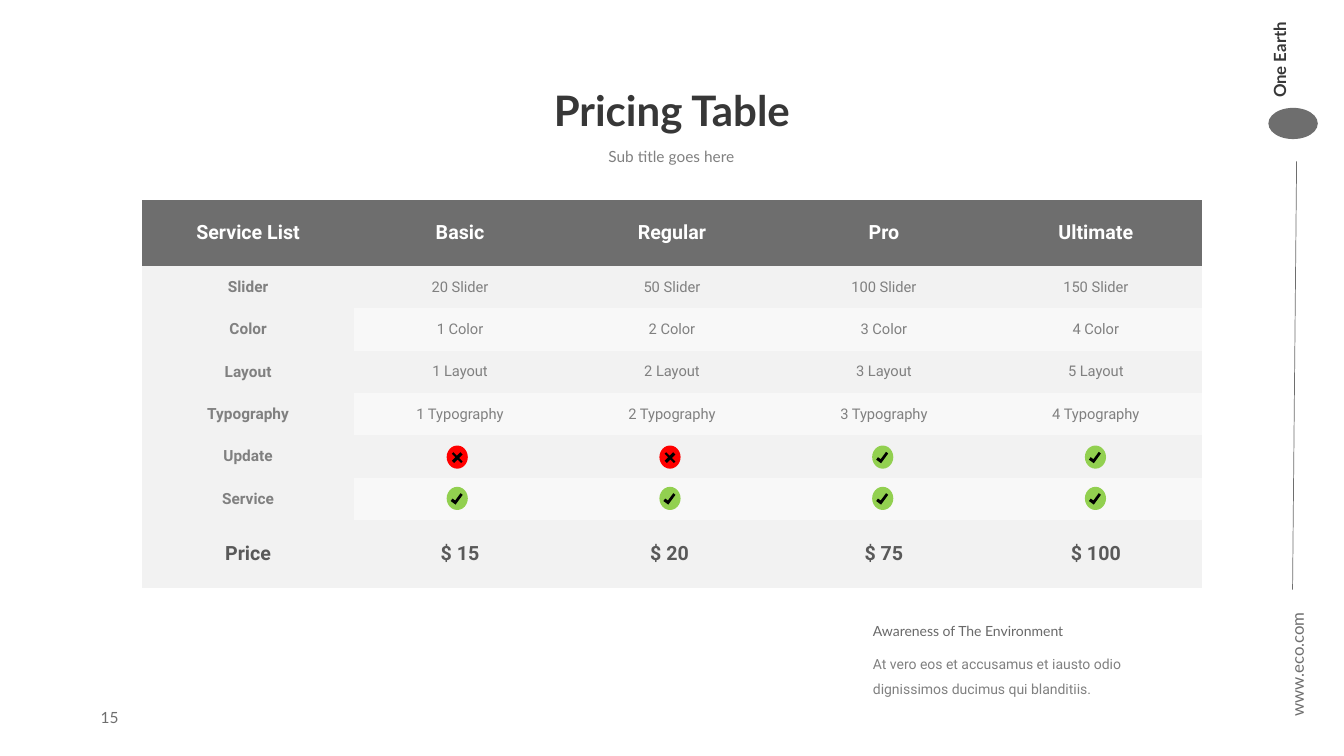
from lxml import etree
from pptx import Presentation
from pptx import util as u
from pptx.dml.color import RGBColor
from pptx.enum import shapes, text
from pptx.oxml.ns import qn

# Content
HEAD = ["Service List", "Basic", "Regular", "Pro", "Ultimate"]
ROWS = [
    ["Slider", "20 Slider", "50 Slider", "100 Slider", "150 Slider"],
    ["Color", "1 Color", "2 Color", "3 Color", "4 Color"],
    ["Layout", "1 Layout", "2 Layout", "3 Layout", "5 Layout"],
    ["Typography", "1 Typography", "2 Typography", "3 Typography", "4 Typography"],
    ["Update", "", "", "", ""],
    ["Service", "", "", "", ""],
]
PRICE = ["Price", "$ 15", "$ 20 ", "$ 75", "$ 100"]
MARKS = ["xxvv", "vvvv"]  # update and service: x is no, v is yes

MID, TOP = text.MSO_ANCHOR.MIDDLE, text.MSO_ANCHOR.TOP
LEFT, CENTER = text.PP_ALIGN.LEFT, text.PP_ALIGN.CENTER
GRAY, DARK, SOFT = "6E6E6E", "373737", "808080"

# words, box, turn, anchor, align, line spacing, font
NOTES = [
    ("www.eco.com", (11.93, 6.17, 1.77, 0.31), 270, MID, LEFT, 1.5,
     dict(name="Lato", size=12, color=GRAY)),
    ("One Earth", (12.29, 0.32, 1, 0.5), 270, TOP, LEFT, 1,
     dict(name="Lato", size=12, color=DARK, bold=True)),
    ("Sub title goes here", (5.19, 1.32, 2.94, 0.35), 0, TOP, CENTER, 1.5,
     dict(name="Lato", size=11, color=SOFT)),
    ("At vero eos et accusamus et iausto odio dignissimos ducimus qui blanditiis.",
     (8.56, 6.37, 3.36, 0.57), 0, TOP, LEFT, 1.5,
     dict(name="Roboto", size=10, color=SOFT)),
    ("Awareness of The Environment", (8.56, 6.13, 3.36, 0.27), 0, TOP, LEFT, 1,
     dict(name="Lato", size=10, color="696969")),
    ("15", (0.9, 6.92, 2.14, 0.4), 0, MID, LEFT, 1,
     dict(name="Lato", size=11, color=GRAY)),
]

deck = Presentation()
deck.slide_width, deck.slide_height = u.Inches(13.33), u.Inches(7.5)
slide = deck.slides.add_slide(deck.slide_layouts[5])


def paint(color, code):
    color.rgb = RGBColor.from_string(code)


def style(font, form):
    for key, val in form.items():
        if key == "color":
            paint(font.color, val)
        else:
            setattr(font, key, u.Pt(val) if key == "size" else val)


def write(frame, words, align, form, gap=1):
    para = frame.paragraphs[0]
    para.alignment, para.line_spacing = align, gap
    if words:
        run = para.add_run()
        run.text = words
        style(run.font, form)
    else:
        style(para.font, form)


def inches(box):
    return [u.Inches(v) for v in box]


def draw(kind, box, code, turn=0):
    shape = slide.shapes.add_shape(kind, *inches(box))
    shape.shadow.inherit = False
    shape.fill.solid()
    paint(shape.fill.fore_color, code)
    shape.line.fill.background()
    shape.rotation = turn
    return shape


def bend(shape):
    """Make a rectangle an L, the preset named corner."""
    geom = shape._element.spPr.find(qn("a:prstGeom"))
    geom.set("prst", "corner")
    guides = geom.find(qn("a:avLst"))
    for name, val in (("adj1", 44200), ("adj2", 51200)):
        etree.SubElement(guides, qn("a:gd"), name=name, fmla=f"val {val}")


# Title
title = slide.shapes.title
title.left, title.top, title.width, title.height = inches((0.96, 0.4, 11.41, 1.45))
title.text_frame.auto_size = text.MSO_AUTO_SIZE.NONE
title.text_frame.vertical_anchor = MID
write(title.text_frame, "Pricing Table", CENTER,
      dict(name="Lato", size=30, color=DARK, bold=True), 0.9)

# Side rail: emblem and rule
KIND = shapes.MSO_SHAPE
draw(KIND.OVAL, (12.58, 1.07, 0.49, 0.31), GRAY)
rule = slide.shapes.add_connector(
    shapes.MSO_CONNECTOR.STRAIGHT, *inches((12.86, 1.6, 12.82, 5.85)))
paint(rule.line.color, GRAY)
rule.line.width = u.Pt(0.5)
etree.SubElement(rule._element.spPr, qn("a:effectLst"))

# Pricing table
grid = [HEAD, *ROWS, PRICE]
table = slide.shapes.add_table(
    len(grid), len(HEAD), *inches((1.41, 1.98, 10.51, 3.87))).table
table.first_row = table.horz_banding = False
plain = table._tbl.tblPr.find(qn("a:tableStyleId"))
plain.text = "{2D5ABB26-0587-4C30-8999-92F81FD0307C}"
for col in table.columns:
    col.width = u.Inches(10.51 / len(HEAD))

last = len(grid) - 1
for r, row in enumerate(grid):
    table.rows[r].height = u.Inches({0: 0.66, last: 0.68}.get(r, 0.42))
    for c, words in enumerate(row):
        back, form = "F2F2F2", dict(name="Roboto", size=10.5, color=SOFT, bold=False)
        if r == 0:
            back = GRAY
            form.update(size=14, color="FFFFFF", bold=True)
        elif r == last:
            form.update(size=14, color="595959", bold=True)
        elif c == 0:
            form.update(size=11, bold=True)
        elif r % 2 == 0:
            back = "F8F8F8"
        cell = table.cell(r, c)
        cell.fill.solid()
        paint(cell.fill.fore_color, back)
        cell.vertical_anchor = MID
        write(cell.text_frame, words, CENTER, form)

# Yes and no marks
for r, line in enumerate(MARKS):
    for c, mark in enumerate(line):
        x, y = 4.43 + 2.11 * c, 4.42 + 0.41 * r
        yes = mark == "v"
        draw(KIND.OVAL, (x, y, 0.21, 0.23), "92D050" if yes else "FF0000")
        if yes:
            bend(draw(KIND.RECTANGLE, (x + 0.04, y + 0.08, 0.12, 0.06),
                      "000000", 306.1))
        else:
            cross = draw(KIND.CROSS, (x + 0.04, y + 0.06, 0.13, 0.12), "000000", 45)
            cross.adjustments[0] = 0.41

# Text boxes
for words, box, turn, anchor, align, gap, form in NOTES:
    note = slide.shapes.add_textbox(*inches(box))
    note.rotation = turn
    note.text_frame.word_wrap = True
    note.text_frame.vertical_anchor = anchor
    write(note.text_frame, words, align, form, gap)

deck.save("out.pptx")
